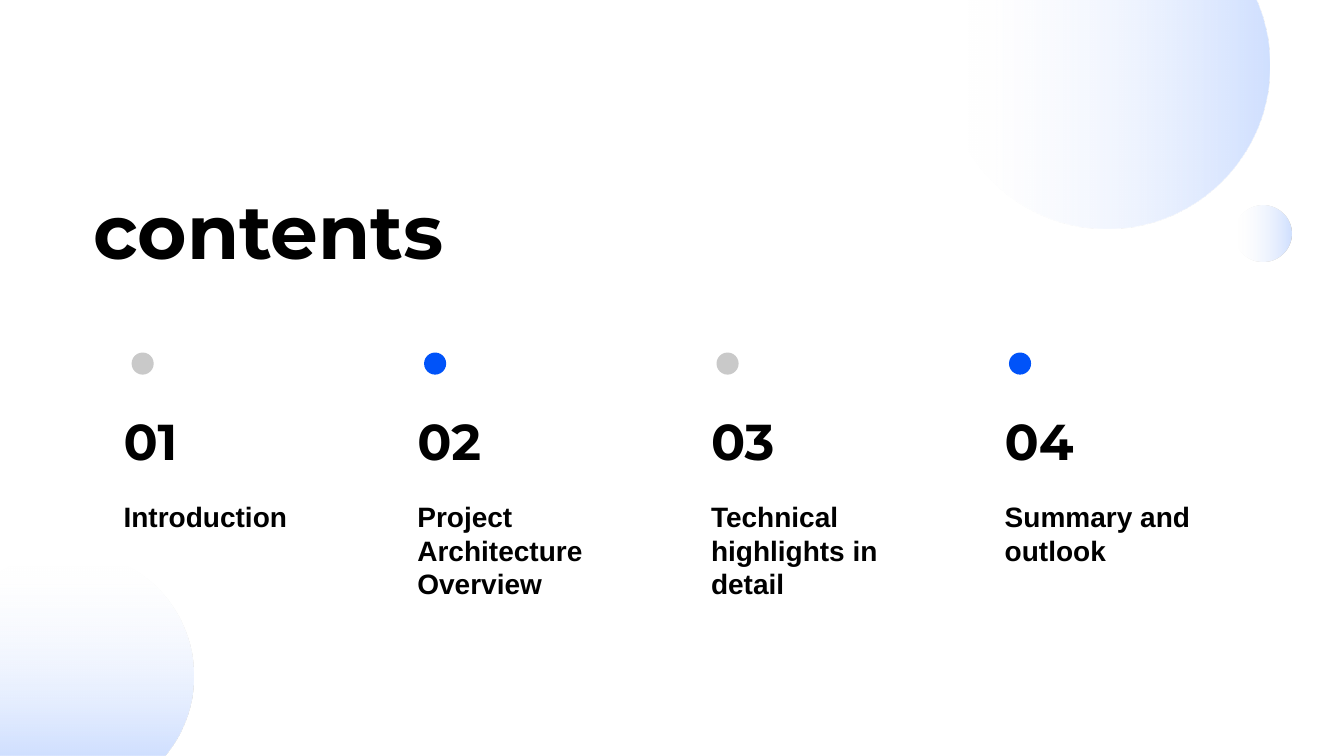
import lxml.etree
import pptx
import pptx.dml.color
import pptx.enum.shapes
import pptx.enum.text
import pptx.oxml
import pptx.oxml.ns
import pptx.util

Pt = pptx.util.Pt
RGBColor = pptx.dml.color.RGBColor
ANCHOR = pptx.enum.text.MSO_ANCHOR
qn = pptx.oxml.ns.qn

BLACK = RGBColor(0x00, 0x00, 0x00)
BLUE = RGBColor(0x00, 0x53, 0xF9)
GREY = RGBColor(0xC9, 0xC9, 0xC9)
PALE_BLUE = RGBColor(0xF2, 0xF6, 0xFF)
SKY_BLUE = RGBColor(0xB1, 0xCB, 0xFF)

PAGE_WIDTH, PAGE_HEIGHT = 960, 540
COLUMN_LEFT, COLUMN_PITCH, COLUMN_WIDTH = 81.2, 209.8, 168
DOT_LEFT, DOT_PITCH, DOT_SIZE = 94, 208.9, 15.8
TOPICS = [
    "Introduction",
    "Project Architecture Overview",
    "Technical highlights in detail",
    "Summary and outlook",
]

# Each outline is a start point and segments: one point for a line, three for a curve.
CORNER_CIRCLE = ((49, 393.8), [
    [(98.2, 393.8), (138.2, 433.6), (138.2, 483)],
    [(138.2, 504.5), (130.5, 524.5), (117.6, 540)],
    [(0, 540)],
    [(0, 408.5)],
    [(6.5, 404.4)],
    [(19, 397.6), (33.4, 393.8), (49, 393.8)],
])
TOP_CIRCLE = ((684.5, 0), [
    [(897, 0)],
    [(898, 2.2)],
    [(903.8, 15.8), (907, 31.2), (907, 47.3)],
    [(907, 111.4), (854.7, 163.5), (790.6, 163.5)],
    [(726.5, 163.5), (674.4, 111.4), (674.4, 47.3)],
    [(674.4, 31.2), (677.6, 15.8), (683.3, 2.2)],
])


def write_text(box, text, font="Arial", size=20, anchor=ANCHOR.TOP):
    frame = box.text_frame
    frame.word_wrap = True
    frame.auto_size = pptx.enum.text.MSO_AUTO_SIZE.NONE
    frame.vertical_anchor = anchor
    para = frame.paragraphs[0]
    para.alignment = pptx.enum.text.PP_ALIGN.LEFT
    span = para.add_run()
    span.text = text
    span.font.name = font
    span.font.size = Pt(size)
    span.font.bold = True
    span.font.color.rgb = BLACK


def place(box, left, top, width, height):
    box.left, box.top = Pt(left), Pt(top)
    box.width, box.height = Pt(width), Pt(height)


def add_text(page, text, left, top, width, height, **text_format):
    box = page.shapes.add_textbox(Pt(left), Pt(top), Pt(width), Pt(height))
    write_text(box, text, **text_format)


def add_circle(page, left, top, size):
    circle = page.shapes.add_shape(
        pptx.enum.shapes.MSO_SHAPE.OVAL, Pt(left), Pt(top), Pt(size), Pt(size)
    )
    circle.shadow.inherit = False
    circle.line.fill.background()
    return circle


def add_dot(page, left, top, color):
    dot = add_circle(page, left, top, DOT_SIZE)
    dot.fill.solid()
    dot.fill.fore_color.rgb = color


def add_outline(page, start, segments):
    points = [(Pt(x), Pt(y)) for segment in segments for x, y in segment]
    builder = page.shapes.build_freeform(Pt(start[0]), Pt(start[1]))
    builder.add_line_segments(points, close=True)
    shape = builder.convert_to_shape()
    shape.shadow.inherit = False
    shape.line.fill.background()
    steps = iter(list(shape._element.iter(qn("a:lnTo"))))
    for segment in segments:
        first, *others = [next(steps) for point in segment]
        if others:
            curve = lxml.etree.Element(qn("a:cubicBezTo"))
            first.addprevious(curve)
            for step in (first, *others):
                curve.append(step[0])
                step.getparent().remove(step)
    return shape


def fill_with_fade(shape, angle):
    shape.fill.gradient()
    shape.fill.gradient_angle = angle
    stops = shape.fill.gradient_stops
    for stop, position, color in zip(stops, (0.07, 1), (PALE_BLUE, SKY_BLUE)):
        stop.position = position
        stop.color.rgb = color
    colors = shape._element.iter(qn("a:srgbClr"))
    for color, opacity in zip(colors, (0, 60)):
        alpha = lxml.etree.SubElement(color, qn("a:alpha"))
        alpha.set("val", str(opacity * 1000))


def add_topic(page, index, topic):
    left = COLUMN_LEFT + index * COLUMN_PITCH
    add_dot(page, DOT_LEFT + index * DOT_PITCH, 251.8, BLUE if index % 2 else GREY)
    add_text(page, f"{index + 1:02}", left, 288.4, COLUMN_WIDTH, 51,
             font="Montserrat", size=36, anchor=ANCHOR.BOTTOM)
    add_text(page, topic, left, 353.3, COLUMN_WIDTH, 83.5)


def main():
    deck = pptx.Presentation()
    deck.slide_width, deck.slide_height = Pt(PAGE_WIDTH), Pt(PAGE_HEIGHT)
    page = deck.slides.add_slide(deck.slide_layouts.get_by_name("Title Only"))

    title = page.shapes.title
    place(title, 59.5, 127.2, 477, 72.7)
    write_text(title, "contents", font="Montserrat", size=54, anchor=ANCHOR.BOTTOM)

    fill_with_fade(add_outline(page, *CORNER_CIRCLE), 270)
    fill_with_fade(add_outline(page, *TOP_CIRCLE), 0)
    fill_with_fade(add_circle(page, 882, 146.7, 40.4), 0)

    for index, topic in enumerate(TOPICS):
        add_topic(page, index, topic)

    deck.save("out.pptx")


if __name__ == "__main__":
    main()
